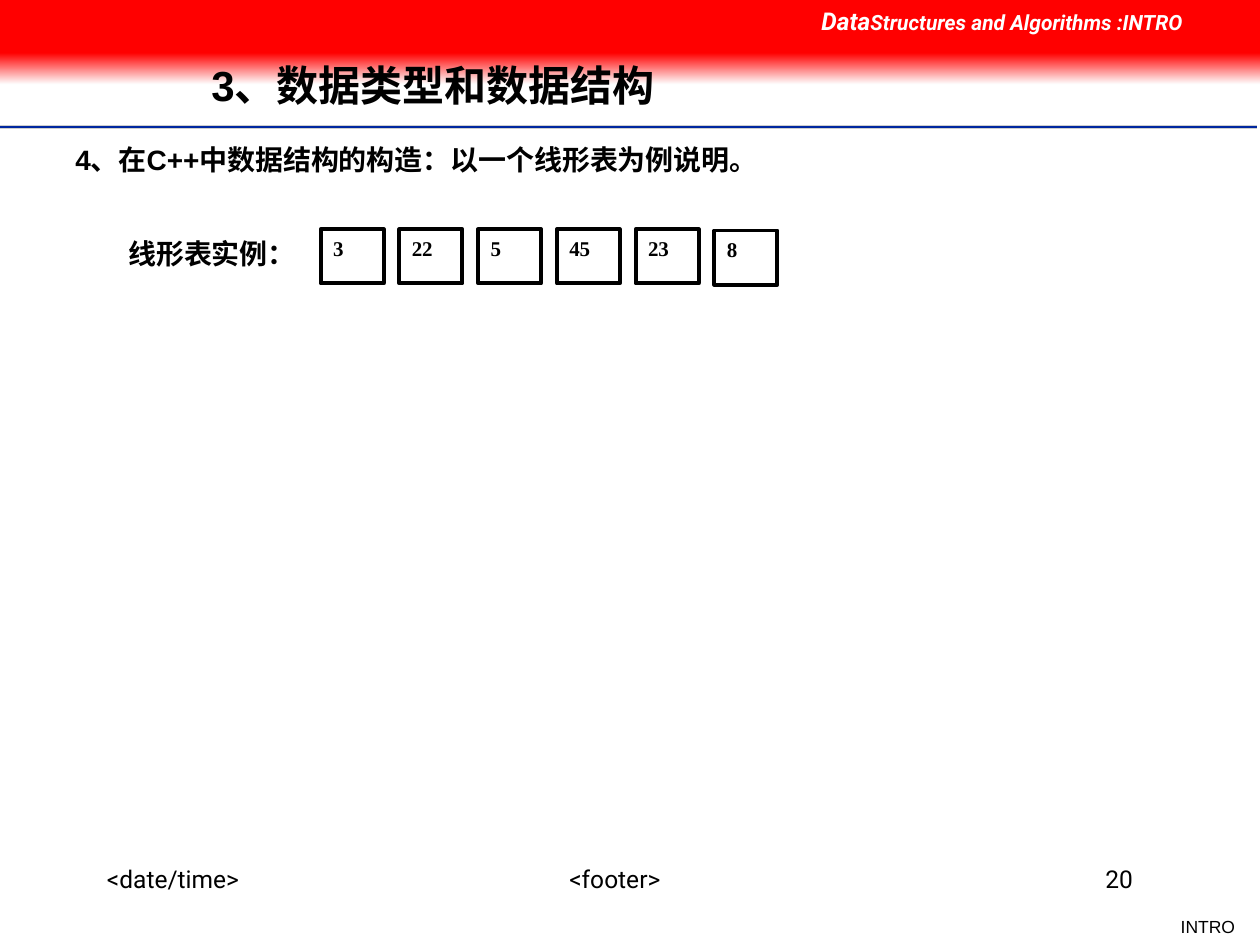
from lxml.etree import SubElement
from pptx import Presentation
from pptx.dml.color import RGBColor
from pptx.enum.shapes import MSO_CONNECTOR, MSO_SHAPE
from pptx.enum.text import MSO_ANCHOR, PP_ALIGN
from pptx.oxml.ns import qn
from pptx.util import Inches, Pt


def color(value):
    """Turn a hex string into a colour."""
    return RGBColor.from_string(value)


def write(shape, text, size=14, font="Roboto", ink="000000", bold=False, italic=False,
          align=PP_ALIGN.LEFT, anchor=MSO_ANCHOR.TOP, wrap=True, indent=0, spacing=None):
    """Write one paragraph in a shape; text is a string or (string, size) pairs."""
    frame = shape.text_frame
    frame.word_wrap = wrap
    frame.vertical_anchor = anchor
    para = frame.paragraphs[0]
    para.alignment = align
    para.line_spacing = spacing
    if indent:
        properties = para._p.get_or_add_pPr()
        properties.set("marL", str(Inches(indent)))
        properties.set("indent", "0")
    for words, points in [(text, size)] if isinstance(text, str) else text:
        span = para.add_run()
        span.text = words
        span.font.name = font
        span.font.size = Pt(points)
        span.font.bold = bold
        span.font.italic = italic
        span.font.color.rgb = color(ink)


def add_text(page, box, text, **style):
    """Add a text box at (left, top, width, height) in inches."""
    write(page.shapes.add_textbox(*map(Inches, box)), text, **style)


def add_rectangle(page, box, fill=None):
    """Add a rectangle without outline or shadow."""
    shape = page.shapes.add_shape(MSO_SHAPE.RECTANGLE, *map(Inches, box))
    shape.shadow.inherit = False
    shape.line.fill.background()
    if fill:
        shape.fill.solid()
        shape.fill.fore_color.rgb = color(fill)
    return shape


def add_rule(page, left, top, width, ink, weight):
    """Add a horizontal line without shadow."""
    line = page.shapes.add_connector(
        MSO_CONNECTOR.STRAIGHT, *map(Inches, (left, top, left + width, top)))
    line.line.color.rgb = color(ink)
    line.line.width = Pt(weight)
    SubElement(line._element.spPr, qn("a:effectLst"))


def add_banner(page, left, top, width, height):
    """Draw the red band that fades to white, with the course name."""
    fade_height = 0.25
    solid_height = height - fade_height
    fade = add_rectangle(page, (left, top + solid_height, width, fade_height))
    fade.fill.gradient()
    fade.fill.gradient_angle = 270
    for stop, ink in zip(fade.fill.gradient_stops, ("FF0000", "FEFEFE")):
        stop.color.rgb = color(ink)
    add_rectangle(page, (left, top, width, solid_height), "FF0000")
    add_text(page, (left + 6.42, top, width - 6.42, 0.34),
             [("Data", 14), ("Structures and Algorithms :INTRO", 12)],
             ink="FFFFFF", bold=True, italic=True)


def add_heading(page, left, top, width, height):
    """Place the title above its triple rule."""
    bottom = top + height
    for offset, ink, weight in ((0, "CECECE", 2), (0, "00279F", 1), (0.02, "FFFFFF", 1)):
        add_rule(page, left, bottom + offset, width, ink, weight)
    add_text(page, (left + 1.58, top, 7.55, 0.74), "3、数据类型和数据结构", size=24,
             font="Arial", bold=True, anchor=MSO_ANCHOR.MIDDLE, spacing=0.9)


def add_list_example(page, left, top, width, height):
    """Place the label and the row of list cells."""
    pitch, cell_width = 0.625, 0.5
    values = ("3", "22", "5", "45", "23", "8")
    first = left + width - pitch * (len(values) - 1) - cell_width
    for index, value in enumerate(values):
        drop = 0.01 if index == len(values) - 1 else 0
        cell = add_rectangle(page, (first + index * pitch, top + drop, cell_width, height),
                             "FFFFFF")
        cell.line.color.rgb = color("000000")
        cell.line.width = Pt(2.25)
        write(cell, value, size=12, font="Times New Roman", bold=True,
              align=PP_ALIGN.JUSTIFY)
    add_text(page, (left, top + 0.01, 2.33, 0.37), "线形表实例：", size=16,
             font="Arial", bold=True)


def add_footer(page, left, top, width, height):
    """Place the date, footer, page number and section name."""
    right = left + width
    add_text(page, (left, top, 1.92, height), "<date/time>")
    add_text(page, (left + 2.67, top, 2.92, height), "<footer>", align=PP_ALIGN.CENTER)
    add_text(page, (right - 1.92, top, 1.92, height), "20", align=PP_ALIGN.RIGHT)
    add_text(page, (right + 0.18, top + 0.41, 0.63, 0.27), "INTRO", size=10,
             font="Arial", align=PP_ALIGN.RIGHT, wrap=False)


def main():
    """Build the slide and save it."""
    deck = Presentation()
    deck.slide_width = Inches(10)
    deck.slide_height = Inches(7.5)
    page = deck.slides.add_slide(deck.slide_layouts[6])
    add_banner(page, 0, 0, 10, 0.67)
    add_heading(page, 0, 0.33, 9.98, 0.68)
    add_text(page, (0, 1.08, 9.83, 0.37), "4、在C++中数据结构的构造：以一个线形表为例说明。",
             size=16, font="Arial", bold=True, indent=0.5)
    add_list_example(page, 0.92, 1.82, 5.25, 0.43)
    add_footer(page, 0.75, 6.81, 8.34, 0.5)
    deck.save("out.pptx")


if __name__ == "__main__":
    main()
